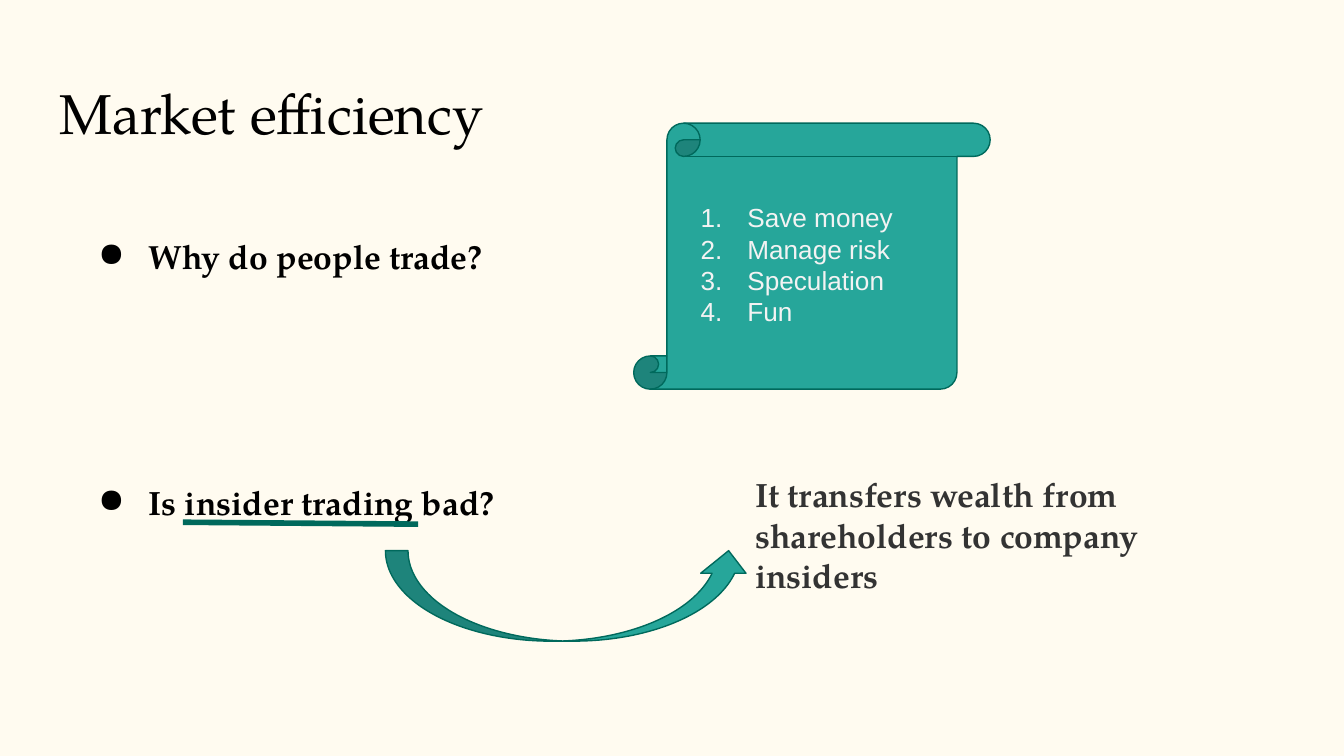
import pptx
import pptx.dml.color
import pptx.enum.shapes
import pptx.enum.text
import pptx.oxml
import pptx.oxml.ns
import pptx.util
from pptx.util import Pt

RGBColor = pptx.dml.color.RGBColor
MSO_SHAPE = pptx.enum.shapes.MSO_SHAPE
ANCHOR = pptx.enum.text.MSO_ANCHOR

CREAM = RGBColor(0xFF, 0xFB, 0xF0)
BLACK = RGBColor(0x00, 0x00, 0x00)
CHARCOAL = RGBColor(0x33, 0x33, 0x33)
PALE = RGBColor(0xF3, 0xF3, 0xF3)
TEAL = RGBColor(0x26, 0xA6, 0x9A)
DARK_TEAL = RGBColor(0x00, 0x69, 0x5C)
SERIF = "TeX Gyre Pagella"


def write_text(shape, text, size=18, font=SERIF, color=BLACK, bold=False,
               anchor=ANCHOR.TOP, spacing=1.0, bullet=None, hanging=0):
    """Fill the shape, one paragraph a line; bullet is a bullet element as XML."""
    frame = shape.text_frame
    frame.text = text
    frame.word_wrap = True
    frame.auto_size = pptx.enum.text.MSO_AUTO_SIZE.NONE
    frame.vertical_anchor = anchor
    frame.margin_left = frame.margin_right = Pt(7.2)
    frame.margin_top = frame.margin_bottom = Pt(7.2)
    for paragraph in frame.paragraphs:
        paragraph.alignment = pptx.enum.text.PP_ALIGN.LEFT
        paragraph.line_spacing = spacing
        for run in paragraph.runs:
            run.font.size = Pt(size)
            run.font.name = font
            run.font.bold = bold
            run.font.color.rgb = color
        if bullet:
            properties = paragraph._p.get_or_add_pPr()
            properties.set("marL", str(Pt(36)))
            properties.set("indent", str(-Pt(hanging)))
            namespace = pptx.oxml.ns.nsdecls("a")
            for xml in (
                f'<a:buClr {namespace}><a:srgbClr val="{color}"/></a:buClr>',
                bullet.replace("/>", f" {namespace}/>"),
            ):
                properties.append(pptx.oxml.parse_xml(xml))


presentation = pptx.Presentation()
presentation.slide_width = Pt(720)
presentation.slide_height = Pt(405)
slide = presentation.slides.add_slide(presentation.slide_layouts[5])
slide.background.fill.solid()
slide.background.fill.fore_color.rgb = CREAM
shapes = slide.shapes

title = shapes.title
title.left, title.top, title.width, title.height = Pt(24.5), Pt(35), Pt(671), Pt(48)
write_text(title, "Market efficiency", size=30)

# Questions
for question, top in (("Why do people trade?", 116), ("Is insider trading bad?", 248)):
    question_box = shapes.add_textbox(Pt(36.5), Pt(top), Pt(315), Pt(62))
    write_text(question_box, question, bold=True, spacing=1.15,
               bullet='<a:buChar char="●"/>', hanging=27)

# Reasons to trade, and the arrow from the second question to its answer
reasons = shapes.add_shape(MSO_SHAPE.VERTICAL_SCROLL, Pt(339.5), Pt(66), Pt(191), Pt(142.5))
answer_arrow = shapes.add_shape(MSO_SHAPE.CURVED_UP_ARROW, Pt(206.5), Pt(295), Pt(196), Pt(48.5))
for shape in (reasons, answer_arrow):
    shape.shadow.inherit = False
    shape.fill.solid()
    shape.fill.fore_color.rgb = TEAL
    shape.line.color.rgb = DARK_TEAL
    shape.line.width = Pt(0.75)
write_text(reasons, "Save money\nManage risk\nSpeculation\nFun", size=14, font="Arial",
           color=PALE, anchor=ANCHOR.MIDDLE,
           bullet='<a:buAutoNum type="arabicPeriod"/>', hanging=25)

underline = shapes.add_connector(pptx.enum.shapes.MSO_CONNECTOR.STRAIGHT,
                                 Pt(98), Pt(279.8), Pt(224), Pt(280.8))
underline.line.color.rgb = DARK_TEAL
underline.line.width = Pt(3)
underline._element.spPr.append(
    pptx.oxml.parse_xml(f'<a:effectLst {pptx.oxml.ns.nsdecls("a")}/>'))

answer = shapes.add_textbox(Pt(397.5), Pt(168.5), Pt(236), Pt(236))
write_text(answer, "It transfers wealth from shareholders to company insiders",
           color=CHARCOAL, bold=True, anchor=ANCHOR.MIDDLE)

presentation.save("out.pptx")
